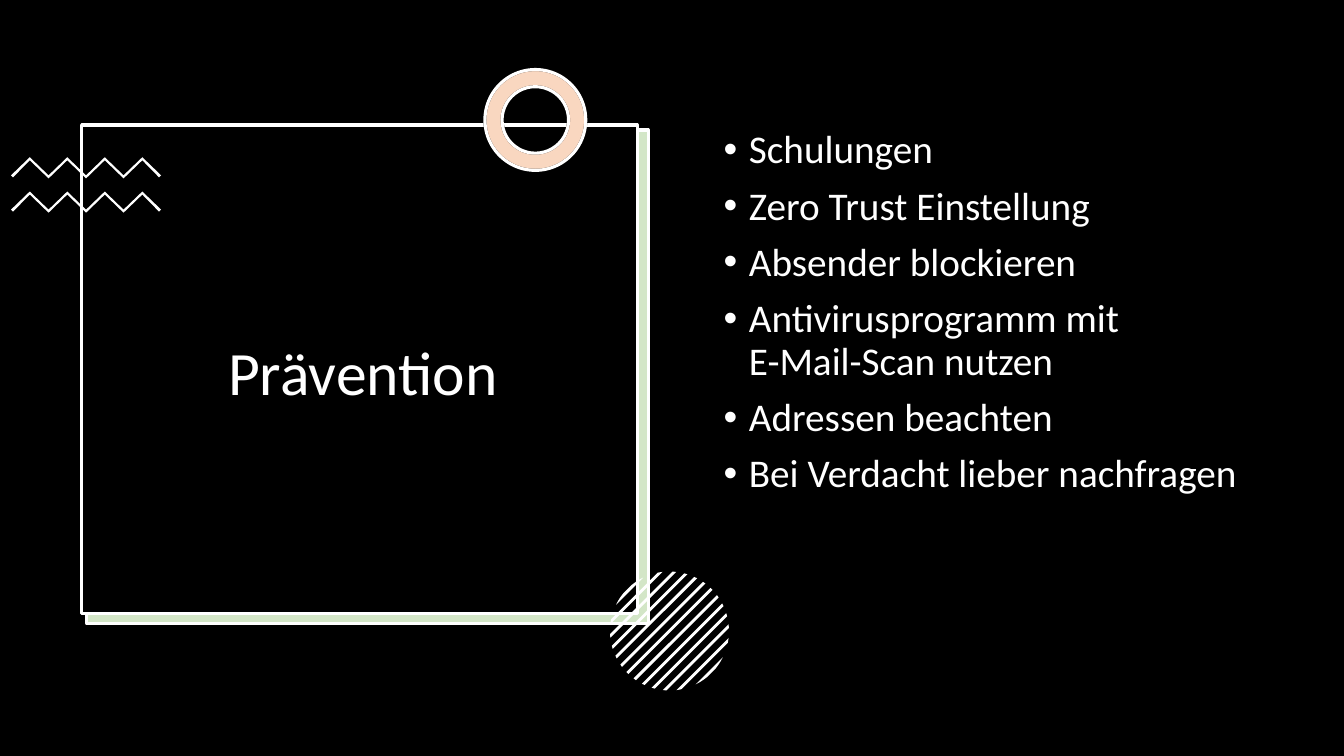
from math import sqrt

from lxml import etree
from pptx import Presentation
from pptx.dml.color import RGBColor
from pptx.enum.shapes import MSO_SHAPE
from pptx.enum.text import MSO_ANCHOR, PP_ALIGN
from pptx.oxml.ns import qn
from pptx.util import Pt

RECTANGLE, RING = MSO_SHAPE.RECTANGLE, MSO_SHAPE.DONUT
TOP, MIDDLE = MSO_ANCHOR.TOP, MSO_ANCHOR.MIDDLE
LEFT, CENTER = PP_ALIGN.LEFT, PP_ALIGN.CENTER

EMU_PER_PX = 9144  # 100 px to the inch
BLACK, WHITE, GREEN, ORANGE = "000000", "FFFFFF", "70AD47", "ED7D31"

MEASURES = [
    "Schulungen",
    "Zero Trust Einstellung",
    "Absender blockieren",
    "Antivirusprogramm mit\vE-Mail-Scan nutzen",
    "Adressen beachten",
    "Bei Verdacht lieber nachfragen",
]


def px(length):
    return round(length * EMU_PER_PX)


def color(hex_string):
    return RGBColor.from_string(hex_string)


class Painter:
    font_name = "Calibri"
    text_color = WHITE
    line_width = 2.25

    def __init__(self, page):
        self.page = page

    def paint(self, shape, fill, line=None, opacity=100):
        shape.shadow.inherit = False
        shape.fill.solid()
        shape.fill.fore_color.rgb = color(fill)
        if opacity < 100:
            tint = shape.fill._xPr.find(qn("a:solidFill"))[0]
            etree.SubElement(tint, qn("a:alpha"), val=str(opacity * 1000))
        if line:
            shape.line.color.rgb = color(line)
            shape.line.width = Pt(self.line_width)
        else:
            shape.line.fill.background()

    def preset(self, kind, bounds, fill, line=None, opacity=100):
        shape = self.page.shapes.add_shape(kind, *map(px, bounds))
        self.paint(shape, fill, line, opacity)
        return shape

    def polygons(self, outlines, fill):
        group = self.page.shapes.add_group_shape()
        for outline in outlines:
            start, *rest = [(px(x), px(y)) for x, y in outline]
            builder = group.shapes.build_freeform(*start, scale=1.0)
            builder.add_line_segments(rest, close=True)
            self.paint(builder.convert_to_shape(), fill)

    def text(self, bounds, lines, size, anchor=TOP, align=LEFT, bullet=None, space=0):
        box = self.page.shapes.add_textbox(*map(px, bounds))
        frame = box.text_frame
        frame.word_wrap = True
        frame.vertical_anchor = anchor
        frame.text = "\n".join(lines)
        for para, line in zip(frame.paragraphs, lines):
            para.text = line
            para.alignment = align
            para.line_spacing = 0.9
            para.space_before = Pt(space)
            if bullet:
                self.bullet(para, bullet)
            for span in para.runs:
                span.font.name = self.font_name
                span.font.size = Pt(size)
                span.font.color.rgb = color(self.text_color)

    def bullet(self, para, sign):
        settings = para._p.get_or_add_pPr()
        settings.set("marL", str(px(25)))
        settings.set("indent", str(px(-25)))
        etree.SubElement(settings, qn("a:buFont"), typeface="Arial")
        etree.SubElement(settings, qn("a:buChar"), char=sign)


def zigzag(left, top, step=18.6, height=18, thickness=3):
    """Outline of a thin wave with four peaks."""
    upper = [(left + step * i, top + height * (i % 2 == 0)) for i in range(9)]
    lower = [(x, y + thickness) for x, y in upper[1:-1]]
    right = left + 8 * step
    ends = [(right - 2, top + height + 2), (left + 2, top + height + 2)]
    return upper + ends[:1] + lower[::-1] + ends[1:]


def stripe(center_x, center_y, radius, offset, half_width=2, samples=5):
    """Outline of a diagonal band cut off by a circle."""
    upper, lower = [], []
    for i in range(samples):
        shift = (offset - half_width + 2 * half_width * i / (samples - 1)) / 2
        reach = sqrt(max(0, radius ** 2 / 2 - shift ** 2))
        upper.append((center_x + shift + reach, center_y + shift - reach))
        lower.append((center_x + shift - reach, center_y + shift + reach))
    return upper + lower[::-1]


def main():
    deck = Presentation()
    deck.slide_width, deck.slide_height = px(1333), px(750)
    page = deck.slides.add_slide(deck.slide_layouts[6])
    painter = Painter(page)

    # Background and title frame
    painter.preset(RECTANGLE, (0, 0, 1333, 750), BLACK)
    painter.preset(RECTANGLE, (85, 130, 557, 490), WHITE)
    painter.preset(RECTANGLE, (86, 129, 557, 490), GREEN, WHITE, opacity=30)
    painter.preset(RECTANGLE, (81, 124, 551, 485), BLACK, WHITE)

    # Zigzag waves
    painter.polygons([zigzag(11, top) for top in (156, 190)], WHITE)

    # Ring: white base under a pale tint
    for fill, line, opacity in ((WHITE, BLACK, 100), (ORANGE, WHITE, 30)):
        ring = painter.preset(RING, (481, 69, 100, 100), fill, line, opacity)
        ring.adjustments[0] = 0.17

    # Striped circle
    stripes = [stripe(664, 626, 59, 13.5 * i) for i in range(-6, 7)]
    painter.polygons(stripes, WHITE)

    # Title and measures
    painter.text((92, 152, 536, 442), ["Prävention"], 44, MIDDLE, CENTER)
    painter.text((708, 124, 544, 476), MEASURES, 28, bullet="•", space=10)

    deck.save("out.pptx")


if __name__ == "__main__":
    main()
